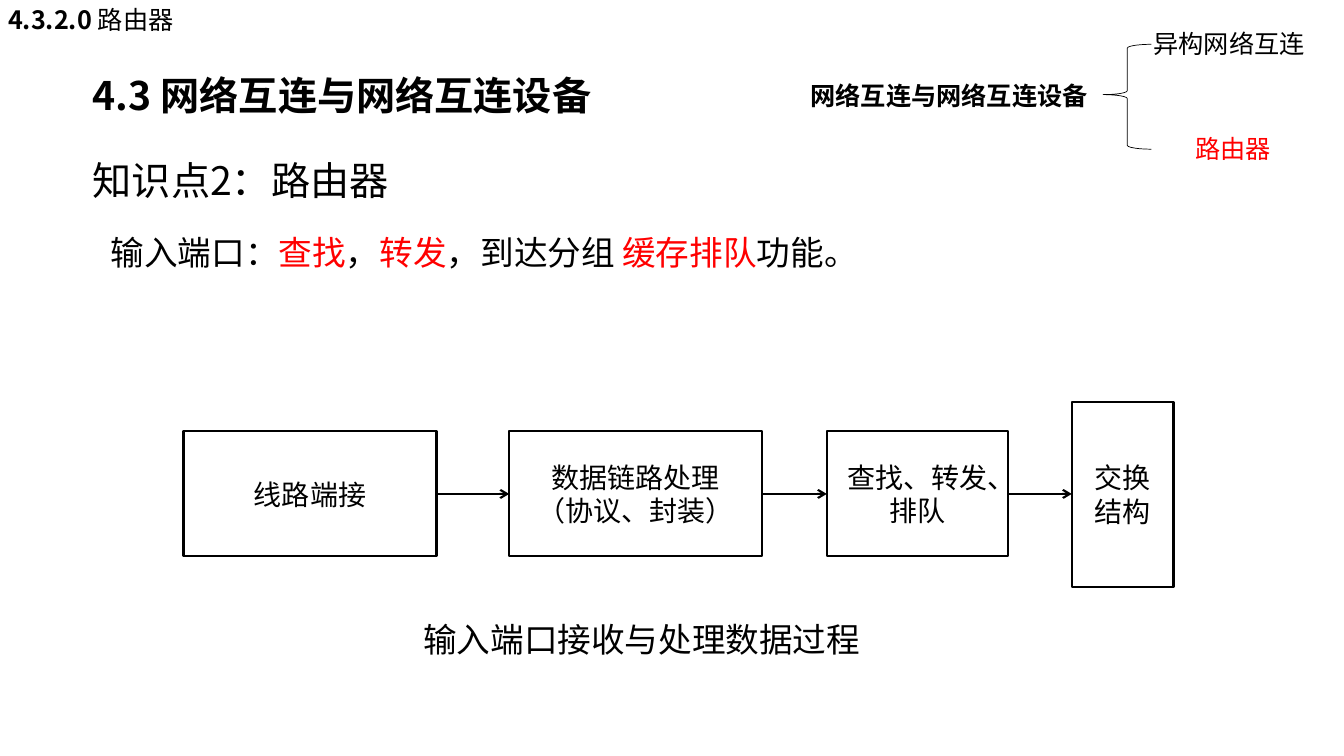
from dataclasses import dataclass
from itertools import pairwise

import pptx
from lxml import etree
from pptx import slide as sl
from pptx import util as u
from pptx.dml import color
from pptx.enum import shapes, text
from pptx.oxml import ns
from pptx.text import text as tx

PX = u.Inches(1) // 100


@dataclass(frozen=True)
class Theme:
    black: color.RGBColor = color.RGBColor(0, 0, 0)
    red: color.RGBColor = color.RGBColor(255, 0, 0)
    font: str = "Noto Sans CJK SC"
    stage_font: str = "Arial"
    heading: int = 28
    body: int = 24
    stage: int = 20
    outline: int = 18
    thin: float = 0.5
    thick: float = 1.5


THEME = Theme()


@dataclass(frozen=True)
class Span:
    words: str
    ink: color.RGBColor = THEME.black
    bold: bool = False


@dataclass(frozen=True)
class Label:
    left: int
    top: int
    width: int
    height: int
    size: int
    spans: tuple[Span, ...]
    spacing: float | u.Length | None = None
    centered: bool = False
    wrap: bool = True
    grow: bool = True
    inset: tuple[int, int] = (10, 5)


@dataclass(frozen=True)
class Stage:
    left: int
    top: int
    width: int
    height: int
    lines: str


TIGHT = u.Pt(16)
LABELS = (
    Label(80, 65, 965, 59, THEME.heading,
          (Span("4.3 网络互连与网络互连设备", bold=True),), inset=(12, 6)),
    Label(80, 115, 1216, 104, THEME.heading, (Span("知识点2：路由器"),),
          spacing=1.5, grow=False, inset=(12, 6)),
    Label(100, 205, 1178, 131, THEME.body,
          (Span("输入端口："), Span("查找", THEME.red), Span("，"),
           Span("转发", THEME.red), Span("，到达分组 "),
           Span("缓存排队", THEME.red), Span("功能。")), spacing=1.5),
    Label(1133, 31, 172, 33, THEME.outline, (Span("异构网络互连"),),
          spacing=TIGHT, centered=True, wrap=False),
    Label(1175, 135, 96, 33, THEME.outline, (Span("路由器", THEME.red),),
          spacing=TIGHT, centered=True, wrap=False),
    Label(794, 75, 300, 40, THEME.outline,
          (Span("网络互连与网络互连设备", bold=True),), wrap=False),
    Label(-8, 7, 196, 32, THEME.outline,
          (Span("4.3.2.0 ", bold=True), Span("路由器")),
          spacing=TIGHT, centered=True, wrap=False),
    Label(410, 598, 514, 62, THEME.body, (Span("输入端口接收与处理数据过程"),),
          spacing=u.Pt(37)),
)
STAGES = (
    Stage(182, 428, 251, 124, "线路端接"),
    Stage(505, 428, 251, 124, "数据链路处理\n（协议、封装）"),
    Stage(820, 428, 180, 124, "查找、转发、排队"),
    Stage(1063, 399, 101, 183, "交换结构"),
)
FLOW_Y = 490


def px(*lengths: int) -> list[u.Emu]:
    return [u.Emu(length * PX) for length in lengths]


def style_font(font: tx.Font, size: int, ink: color.RGBColor, face: str, bold: bool = False) -> None:
    font.size = u.Pt(size)
    font.bold = bold
    font.name = face
    font.color.rgb = ink


def set_east_asian(run: tx._Run) -> None:
    latin = run._r.get_or_add_rPr().find(ns.qn("a:latin"))
    east_asian = etree.Element(ns.qn("a:ea"), typeface=THEME.font)
    latin.addnext(east_asian)


def draw_label(page: sl.Slide, label: Label) -> None:
    box = page.shapes.add_textbox(*px(label.left, label.top, label.width, label.height))
    frame = box.text_frame
    frame.word_wrap = label.wrap
    if label.grow:
        frame.auto_size = text.MSO_AUTO_SIZE.SHAPE_TO_FIT_TEXT
    else:
        frame.vertical_anchor = text.MSO_ANCHOR.MIDDLE
    frame.margin_left, frame.margin_top = px(*label.inset)
    frame.margin_right, frame.margin_bottom = px(*label.inset)
    para = frame.paragraphs[0]
    para.line_spacing = label.spacing
    if label.centered:
        para.alignment = text.PP_ALIGN.CENTER
    for span in label.spans:
        run = para.add_run()
        run.text = span.words
        style_font(run.font, label.size, span.ink, THEME.font, span.bold)
        set_east_asian(run)


def draw_brace(page: sl.Slide) -> None:
    brace = page.shapes.add_shape(shapes.MSO_SHAPE.LEFT_BRACE, *px(1094, 44, 48, 104))
    brace.adjustments[0] = 0.08
    brace.adjustments[1] = 0.48
    brace.shadow.inherit = False
    brace.fill.background()
    brace.line.color.rgb = THEME.black
    brace.line.width = u.Pt(THEME.thin)


def draw_stage(page: sl.Slide, stage: Stage) -> None:
    box = page.shapes.add_shape(
        shapes.MSO_SHAPE.RECTANGLE, *px(stage.left, stage.top, stage.width, stage.height))
    box.shadow.inherit = False
    box.fill.background()
    box.line.color.rgb = THEME.black
    box.line.width = u.Pt(THEME.thick)
    frame = box.text_frame
    frame.word_wrap = True
    frame.vertical_anchor = text.MSO_ANCHOR.MIDDLE
    frame.text = stage.lines
    for para in frame.paragraphs:
        para.alignment = text.PP_ALIGN.CENTER
        for run in para.runs:
            style_font(run.font, THEME.stage, THEME.black, THEME.stage_font)
            set_east_asian(run)


def draw_arrow(page: sl.Slide, source: Stage, target: Stage) -> None:
    arrow = page.shapes.add_connector(
        shapes.MSO_CONNECTOR.STRAIGHT,
        *px(source.left + source.width, FLOW_Y, target.left, FLOW_Y))
    arrow.line.color.rgb = THEME.black
    arrow.line.width = u.Pt(THEME.thick)
    etree.SubElement(arrow.line._get_or_add_ln(), ns.qn("a:tailEnd"), type="arrow")
    etree.SubElement(arrow._element.spPr, ns.qn("a:effectLst"))


def main() -> None:
    deck = pptx.Presentation()
    deck.slide_width, deck.slide_height = px(1333, 750)
    page = deck.slides.add_slide(deck.slide_layouts[6])
    for label in LABELS:
        draw_label(page, label)
    draw_brace(page)
    for stage in STAGES:
        draw_stage(page, stage)
    for source, target in pairwise(STAGES):
        draw_arrow(page, source, target)
    deck.save("out.pptx")


if __name__ == "__main__":
    main()
